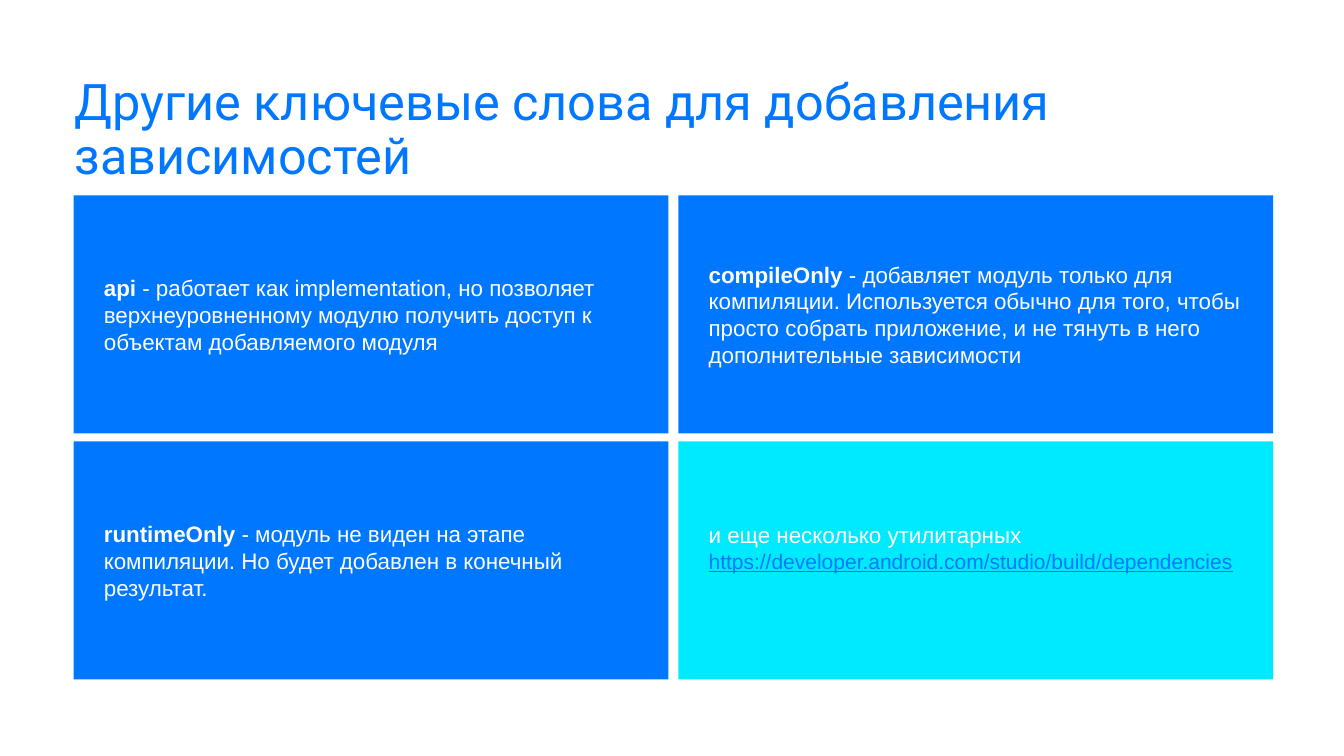
from dataclasses import dataclass

from pptx import Presentation
from pptx.dml.color import RGBColor
from pptx.enum.text import MSO_ANCHOR, PP_ALIGN
from pptx.slide import Slide
from pptx.text.text import _Run
from pptx.util import Pt

WHITE = RGBColor(0xFF, 0xFF, 0xFF)
BLUE = RGBColor(0x00, 0x77, 0xFF)
CYAN = RGBColor(0x00, 0xEA, 0xFF)

GRID_LEFT, GRID_TOP = 52.6, 139.6
CARD_WIDTH, CARD_HEIGHT = 424.8, 170
COLUMN_GAP, ROW_GAP = 7.2, 5.7


@dataclass(frozen=True)
class Part:
    text: str
    size: float = 16
    color: RGBColor = WHITE
    bold: bool = False
    underline: bool = False
    font: str = "Arial"


@dataclass(frozen=True)
class Card:
    column: int
    row: int
    lines: tuple[tuple[Part, ...], ...]
    fill: RGBColor = BLUE
    bottom_inset: float = 3.6


def keyword(term: str, meaning: str) -> tuple[tuple[Part, ...], ...]:
    return ((Part(f"{term} ", bold=True), Part(f"- {meaning}")),)


TITLE = Part("Другие ключевые слова для добавления зависимостей", 36, BLUE, font="Roboto")
CARDS = (
    Card(0, 0, keyword(
        "api",
        "работает как implementation, но позволяет верхнеуровненному модулю "
        "получить доступ к объектам добавляемого модуля")),
    Card(0, 1, keyword(
        "runtimeOnly",
        "модуль не виден на этапе компиляции. Но будет добавлен в конечный результат.")),
    Card(1, 0, keyword(
        "compileOnly",
        "добавляет модуль только для компиляции. Используется обычно для того, "
        "чтобы просто собрать приложение, и не тянуть в него дополнительные зависимости")),
    Card(1, 1, (
        (Part("и еще несколько утилитарных"),),
        (Part("https://developer.android.com/studio/build/dependencies", 15, BLUE, underline=True),),
    ), CYAN, 22),
)


def format_run(run: _Run, part: Part) -> None:
    run.font.name = part.font
    run.font.size = Pt(part.size)
    run.font.color.rgb = part.color
    run.font.bold = part.bold
    run.font.underline = part.underline


def draw_title(slide: Slide) -> None:
    heading = slide.shapes.add_textbox(Pt(53.3), Pt(54.7), Pt(854.6), Pt(80)).text_frame
    heading.word_wrap = True
    heading.margin_left = heading.margin_right = Pt(0)
    heading.margin_top = heading.margin_bottom = Pt(0)
    heading.text = TITLE.text
    heading.paragraphs[0].line_spacing = 0.9
    format_run(heading.paragraphs[0].runs[0], TITLE)


def draw_card(slide: Slide, card: Card) -> None:
    left = GRID_LEFT + card.column * (CARD_WIDTH + COLUMN_GAP)
    top = GRID_TOP + card.row * (CARD_HEIGHT + ROW_GAP)
    panel = slide.shapes.add_shape(1, Pt(left), Pt(top), Pt(CARD_WIDTH), Pt(CARD_HEIGHT))
    panel.shadow.inherit = False
    panel.fill.solid()
    panel.fill.fore_color.rgb = card.fill
    panel.line.fill.background()

    description = panel.text_frame
    description.word_wrap = True
    description.vertical_anchor = MSO_ANCHOR.MIDDLE
    description.margin_left = Pt(21.6)
    description.margin_right = Pt(7.2)
    description.margin_top = Pt(3.6)
    description.margin_bottom = Pt(card.bottom_inset)
    description.text = "\n".join(line[0].text for line in card.lines)
    for paragraph, line in zip(description.paragraphs, card.lines):
        paragraph.alignment = PP_ALIGN.LEFT
        for part in line[1:]:
            paragraph.add_run().text = part.text
        for run, part in zip(paragraph.runs, line):
            format_run(run, part)


def main() -> None:
    presentation = Presentation()
    presentation.slide_width = Pt(960)
    presentation.slide_height = Pt(540)
    slide = presentation.slides.add_slide(presentation.slide_layouts[6])
    for card in CARDS:
        draw_card(slide, card)
    draw_title(slide)
    presentation.save("out.pptx")


if __name__ == "__main__":
    main()
